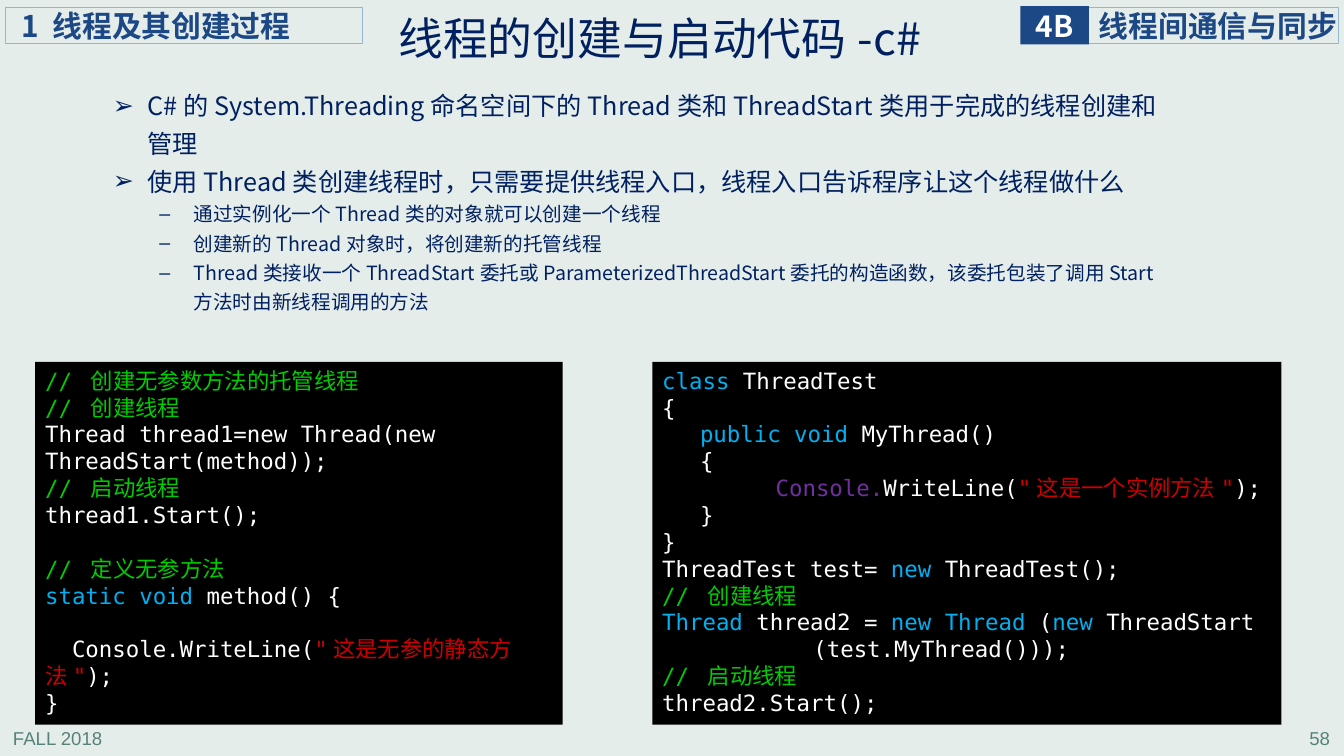
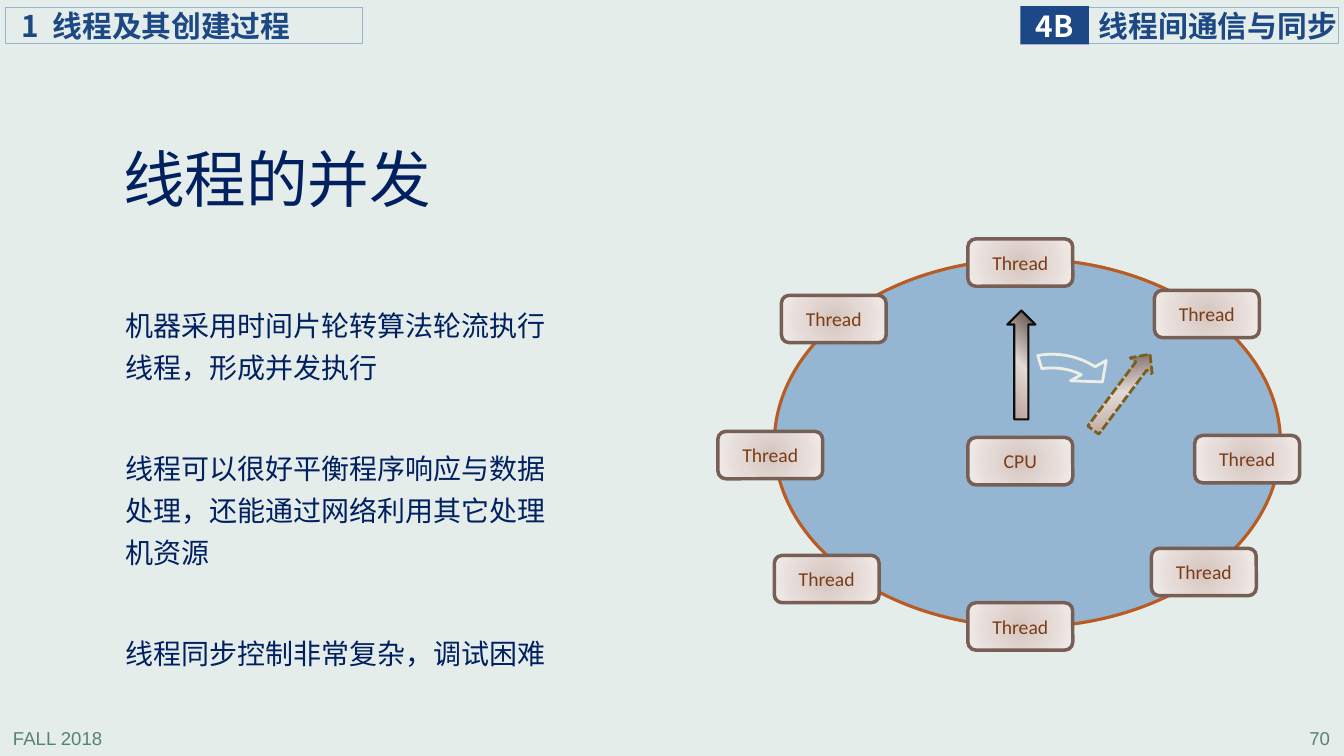
import pptx
import pptx.util
import pptx.dml.color
import pptx.enum.dml
import pptx.enum.shapes
import pptx.enum.text
import pptx.oxml
import pptx.oxml.ns

Inches, Pt = pptx.util.Inches, pptx.util.Pt
qn = pptx.oxml.ns.qn
SHAPE = pptx.enum.shapes.MSO_SHAPE
ANCHOR = pptx.enum.text.MSO_ANCHOR
ALIGN = pptx.enum.text.PP_ALIGN

WIDTH, HEIGHT = 13.33, 7.5
CJK, MONO, FOOTER_FONT, NODE_FONT = "Noto Sans CJK SC", "DejaVu Sans Mono", "Arial", "Calibri"
COLORS = {
    "background": "E5EDEB", "footer": "578279", "band": "1C4885", "sky": "94B6D2",
    "navy": "002060", "white": "FFFFFF", "black": "000000", "comment": "00CC00",
    "keyword": "00B0F0", "string": "CC0000", "class": "7030A0", "ring": "B95B22",
    "node_line": "775F55", "node_text": "7B3D17", "hand": "0D0D0D",
    "next_hand": "7C5F1E", "turn": "EDEEE6",
}
NODE_STOPS = ("D5C4BD", "E4D9D5", "F1ECEA")
HAND_STOPS = ("B39D94", "E4D9D5", "594740")
RADIAL = '<a:path path="circle"><a:fillToRect l="50000" t="50000" r="50000" b="50000"/></a:path>'
DIAGONAL = '<a:lin ang="18900000" scaled="0"/>'

CHAPTER, SECTION_NUMBER, SECTION = "1 线程及其创建过程", "4B", "线程间通信与同步"
TERM = "FALL 2018"

CREATION_POINTS = [
    (0, "C#的System.Threading命名空间下的Thread类和ThreadStart类用于完成的线程创建和管理"),
    (0, "使用Thread类创建线程时，只需要提供线程入口，线程入口告诉程序让这个线程做什么"),
    (1, "通过实例化一个Thread类的对象就可以创建一个线程"),
    (1, "创建新的Thread对象时，将创建新的托管线程"),
    (1, "Thread类接收一个ThreadStart委托或ParameterizedThreadStart委托的构造函数，"
        "该委托包装了调用Start方法时由新线程调用的方法"),
]
# Level: bullet, size, line height, left margin
POINT_STYLES = [("➢", 18, 27, 0.47), ("–", 14, 21, 0.93)]
HANGING = 0.34

# Code line: indent steps, blank lines above, coloured pieces
STATIC_CODE = [
    (0, 0, [("comment", "// 创建无参数方法的托管线程")]),
    (0, 0, [("comment", "// 创建线程")]),
    (0, 0, [("white", "Thread thread1=new Thread(new ThreadStart(method));")]),
    (0, 0, [("comment", "// 启动线程")]),
    (0, 0, [("white", "thread1.Start();")]),
    (0, 1, [("comment", "// 定义无参方法")]),
    (0, 0, [("keyword", "static void"), ("white", " method() {")]),
    (0, 1, [("white", "  Console.WriteLine("), ("string", '"这是无参的静态方法"'), ("white", ");")]),
    (0, 0, [("white", "}")]),
]
INSTANCE_CODE = [
    (0, 0, [("keyword", "class "), ("white", "ThreadTest")]),
    (0, 0, [("white", "{")]),
    (1, 0, [("keyword", "public void "), ("white", "MyThread()")]),
    (1, 0, [("white", "{")]),
    (3, 0, [("class", "Console."), ("white", "WriteLine("),
            ("string", '"这是一个实例方法"'), ("white", ");")]),
    (1, 0, [("white", "}")]),
    (0, 0, [("white", "}")]),
    (0, 0, [("white", "ThreadTest test= "), ("keyword", "new "), ("white", "ThreadTest();")]),
    (0, 0, [("comment", "// 创建线程")]),
    (0, 0, [("keyword", "Thread"), ("white", " thread2 = "), ("keyword", "new Thread"),
            ("white", " ("), ("keyword", "new "), ("white", "ThreadStart")]),
    (4, 0, [("white", "(test.MyThread()));")]),
    (0, 0, [("comment", "// 启动线程")]),
    (0, 0, [("white", "thread2.Start();")]),
]
CODE_LINE, CODE_INDENT = 19.2, 0.375

CONCURRENCY_POINTS = [
    "机器采用时间片轮转算法轮流执行线程，形成并发执行",
    "线程可以很好平衡程序响应与数据处理，还能通过网络利用其它处理机资源",
    "线程同步控制非常复杂，调试困难",
]
NODE_SIZE = (1.04, 0.47)
CPU_AT = (9.6, 4.34)
THREADS_AT = [(9.6, 2.37), (11.45, 2.88), (11.85, 4.32), (11.42, 5.44),
              (9.6, 5.98), (7.68, 5.51), (7.12, 4.28), (7.75, 2.93)]


def color(name):
    return pptx.dml.color.RGBColor.from_string(COLORS[name])


def place(shape, box):
    shape.left, shape.top, shape.width, shape.height = map(Inches, box)


def set_frame(frame, anchor=ANCHOR.TOP, insets=(0.1, 0.05, 0.1, 0.05)):
    frame.word_wrap = True
    frame.auto_size = pptx.enum.text.MSO_AUTO_SIZE.NONE
    frame.vertical_anchor = anchor
    frame.margin_left, frame.margin_top, frame.margin_right, frame.margin_bottom = map(Inches, insets)


def style_paragraph(paragraph, font, size, ink, bold=False, align=ALIGN.LEFT):
    paragraph.alignment = align
    paragraph.font.size = Pt(size)
    paragraph.font.bold = bold
    paragraph.font.color.rgb = color(ink)
    paragraph.font.name = font
    defaults = paragraph._p.pPr.find(qn("a:defRPr"))
    defaults.append(pptx.oxml.parse_xml(
        f'<a:ea {pptx.oxml.ns.nsdecls("a")} typeface="{CJK}"/>'))


def set_bullet(paragraph, margin=0, hanging=0, bullet=None):
    properties = paragraph._p.get_or_add_pPr()
    properties.set("marL", str(Inches(margin)))
    properties.set("indent", str(-Inches(hanging)))
    mark = pptx.oxml.parse_xml(f'<a:{"buChar" if bullet else "buNone"} {pptx.oxml.ns.nsdecls("a")}/>')
    if bullet:
        mark.set("char", bullet)
    properties.append(mark)


def paragraphs_for(frame, items):
    """Yield a paragraph with each item, reusing the frame's first one."""
    for index, item in enumerate(items):
        paragraph = frame.add_paragraph() if index else frame.paragraphs[0]
        paragraph.space_before = paragraph.space_after = Pt(0)
        yield paragraph, item


def add_shape(slide, kind, box, fill=None, line=None, weight=0.75):
    shape = slide.shapes.add_shape(kind, *map(Inches, box))
    shape.shadow.inherit = False
    if isinstance(fill, str):
        shape.fill.solid()
        shape.fill.fore_color.rgb = color(fill)
    elif fill:
        set_gradient(shape, *fill)
    else:
        shape.fill.background()
    if line:
        shape.line.color.rgb = color(line)
        shape.line.width = Pt(weight)
    else:
        shape.line.fill.background()
    return shape


def set_gradient(shape, stops, direction):
    marks = "".join(f'<a:gs pos="{index * 50000}"><a:srgbClr val="{stop}"/></a:gs>'
                    for index, stop in enumerate(stops))
    shape.element.spPr.find(qn("a:prstGeom")).addnext(pptx.oxml.parse_xml(
        f'<a:gradFill {pptx.oxml.ns.nsdecls("a")} rotWithShape="1">'
        f'<a:gsLst>{marks}</a:gsLst>{direction}</a:gradFill>'))


def write_line(shape, text, font, size, ink, insets, bold=False, align=ALIGN.LEFT, anchor=ANCHOR.MIDDLE):
    set_frame(shape.text_frame, anchor, insets)
    paragraph = shape.text_frame.paragraphs[0]
    paragraph.text = text
    style_paragraph(paragraph, font, size, ink, bold, align)


def add_slide(presentation, number, title, title_box, title_size, body_box):
    """Add a slide with the shared bands, footer and title; return it with its body frame."""
    slide = presentation.slides.add_slide(presentation.slide_layouts[1])
    for left, text, align in ((0.03, TERM, ALIGN.LEFT), (WIDTH - 2.82, str(number), ALIGN.RIGHT)):
        footer = slide.shapes.add_textbox(*map(Inches, (left, 7.16, 2.78, 0.31)))
        write_line(footer, text, FOOTER_FONT, 13.3, "footer", (0.1, 0.05, 0.1, 0.05),
                   align=align, anchor=ANCHOR.TOP)
    bands = [
        ((10.78, 0.07, 2.5, 0.36), None, "sky", SECTION, "band", 0.12, ALIGN.LEFT),
        ((10.12, 0.06, 0.68, 0.38), "band", None, SECTION_NUMBER, "white", 0, ALIGN.CENTER),
        ((0.05, 0.07, 3.55, 0.36), None, "sky", CHAPTER, "band", 0.16, ALIGN.LEFT),
    ]
    for box, fill, line, text, ink, inset, align in bands:
        band = add_shape(slide, SHAPE.RECTANGLE, box, fill, line)
        write_line(band, text, CJK, 21.3, ink, (inset, 0, 0, 0), True, align)
    place(slide.shapes.title, title_box)
    write_line(slide.shapes.title, title, CJK, title_size, "navy", (0.08, 0.04, 0.08, 0.04))
    slide.shapes.title.text_frame.paragraphs[0].line_spacing = 0.9
    body = slide.placeholders[1]
    place(body, body_box)
    return slide, body.text_frame


def add_code(slide, box, lines):
    panel = add_shape(slide, SHAPE.RECTANGLE, box, "black")
    set_frame(panel.text_frame)
    for paragraph, (steps, blanks, pieces) in paragraphs_for(panel.text_frame, lines):
        set_bullet(paragraph, steps * CODE_INDENT)
        paragraph.line_spacing = Pt(CODE_LINE)
        paragraph.space_before = Pt(blanks * CODE_LINE)
        style_paragraph(paragraph, MONO, 16, "white")
        for ink, text in pieces:
            run = paragraph.add_run()
            run.text = text
            run.font.color.rgb = color(ink)


def add_node(slide, position, text):
    node = add_shape(slide, SHAPE.ROUNDED_RECTANGLE, position + NODE_SIZE,
                     (NODE_STOPS, RADIAL), "node_line", 2.5)
    write_line(node, text, NODE_FONT, 14, "node_text", (0.1, 0.05, 0.1, 0.05), align=ALIGN.CENTER)


def build_creation_slide(presentation):
    slide, frame = add_slide(presentation, 58, "线程的创建与启动代码-c#", (3.87, 0.04, 7.47, 0.74),
                             32, (0.91, 0.78, 10.78, 2.56))
    set_frame(frame, insets=(0.08, 0.04, 0.08, 0.04))
    for paragraph, (level, text) in paragraphs_for(frame, CREATION_POINTS):
        bullet, size, line_height, margin = POINT_STYLES[level]
        paragraph.text = text
        paragraph.level = level
        set_bullet(paragraph, margin, HANGING, bullet)
        paragraph.line_spacing = Pt(line_height)
        style_paragraph(paragraph, CJK, size, "navy")
    add_code(slide, (0.35, 3.59, 5.23, 3.6), STATIC_CODE)
    add_code(slide, (6.47, 3.59, 6.24, 3.6), INSTANCE_CODE)


def build_concurrency_slide(presentation):
    slide, frame = add_slide(presentation, 70, "线程的并发", (1.14, 1.44, 4.25, 0.74),
                             44, (1.14, 2.93, 4.6, 3.8))
    set_frame(frame)
    for paragraph, text in paragraphs_for(frame, CONCURRENCY_POINTS):
        paragraph.text = text
        set_bullet(paragraph)
        paragraph.line_spacing = Pt(30)
        paragraph.space_before = Pt(0 if text == CONCURRENCY_POINTS[0] else 42)
        style_paragraph(paragraph, CJK, 20, "navy")

    add_shape(slide, SHAPE.OVAL, (7.68, 2.57, 5.02, 3.65), "sky", "ring", 2.25)
    add_shape(slide, SHAPE.UP_ARROW, (9.99, 3.08, 0.28, 1.08), (HAND_STOPS, DIAGONAL), "hand", 1.5)
    next_hand = add_shape(slide, SHAPE.UP_ARROW, (10.99, 3.42, 0.27, 0.94),
                          (HAND_STOPS, DIAGONAL), "next_hand", 2)
    next_hand.rotation = 36.8
    next_hand.adjustments[1] = 0.54
    next_hand.element.spPr.xfrm.set("flipH", "1")
    next_hand.line.dash_style = pptx.enum.dml.MSO_LINE.SQUARE_DOT
    turn = add_shape(slide, SHAPE.CIRCULAR_ARROW, (9.66, 3.38, 1.6, 1.36), "sky", "turn", 2)
    turn.rotation = 5.5
    for index, value in enumerate((0.1, 11.48, 183.42, 148.23, 0.15)):
        turn.adjustments[index] = value

    add_node(slide, CPU_AT, "CPU")
    for position in THREADS_AT:
        add_node(slide, position, "Thread")


def main():
    presentation = pptx.Presentation()
    presentation.slide_width, presentation.slide_height = Inches(WIDTH), Inches(HEIGHT)
    background = presentation.slide_master.background.fill
    background.solid()
    background.fore_color.rgb = color("background")
    build_creation_slide(presentation)
    build_concurrency_slide(presentation)
    presentation.save("out.pptx")


if __name__ == "__main__":
    main()
